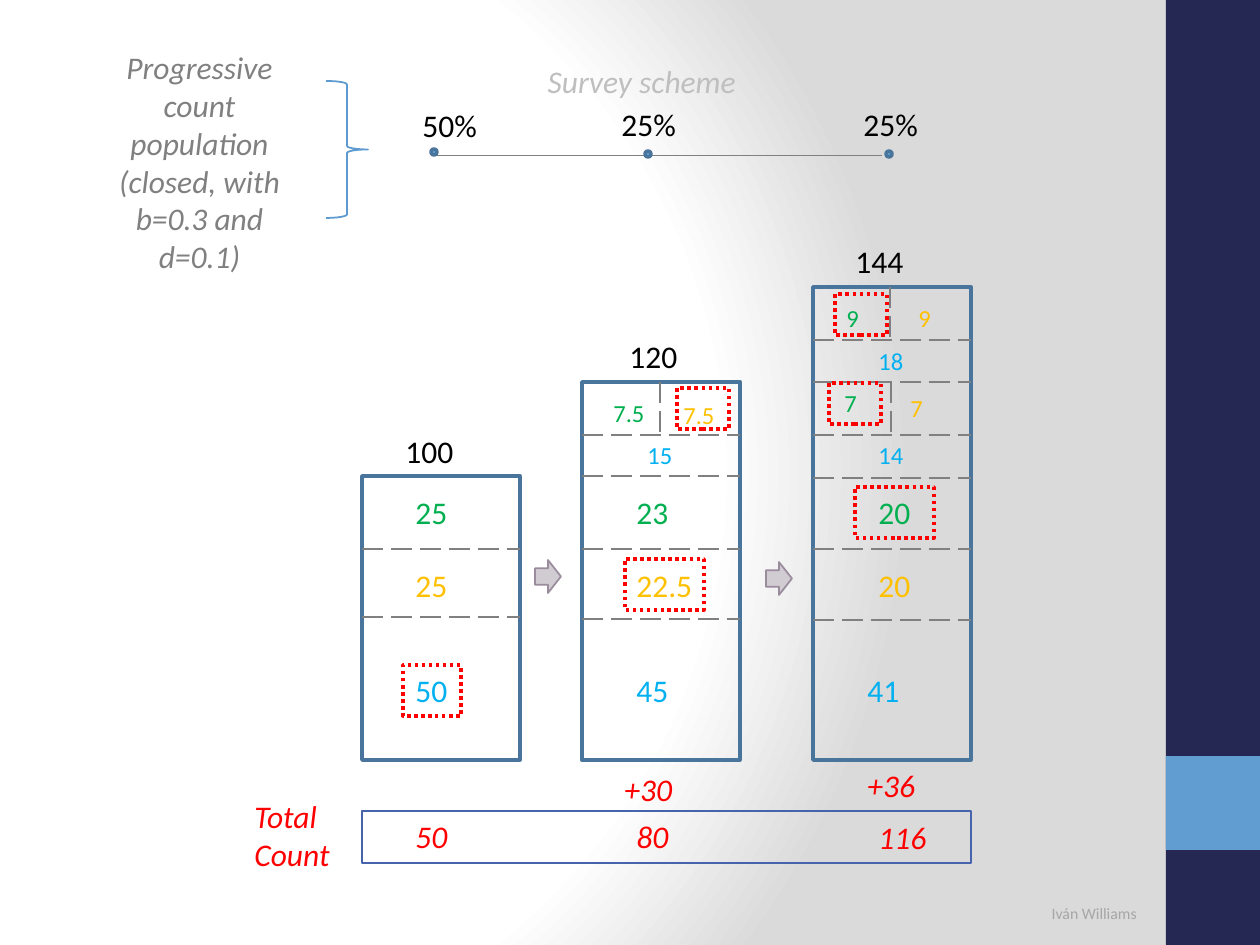
from pptx import Presentation, util as u
from pptx.dml.color import RGBColor
from pptx.enum import dml, shapes, text
from pptx.oxml import parse_xml
from pptx.oxml.ns import nsdecls, qn

EMU_PER_PIXEL = 914400 / 126
COLORS = {
    "navy": "242852", "sky": "629DD1", "frame": "49749B", "thin": "5D9ACF",
    "total": "4663AB", "gray": "808080", "pale": "BFBFBF", "author": "A6A6A6",
    "black": "000000", "red": "FF0000", "blue": "00B0F0", "yellow": "FFC000",
    "green": "00B050", "arrow": "D1CCD2", "arrow_line": "9A8C9D",
}
SHAPE, DASH = shapes.MSO_SHAPE, dml.MSO_LINE


def px(value):
    return u.Emu(round(value * EMU_PER_PIXEL))


def rgb(name):
    return RGBColor.from_string(COLORS[name])


def write(frame, words, size=18, color="black", italic=False, align=text.PP_ALIGN.LEFT):
    frame.word_wrap = True
    frame.vertical_anchor = text.MSO_ANCHOR.TOP
    paragraph = frame.paragraphs[0]
    paragraph.alignment = align
    run = paragraph.add_run()
    run.text = words
    run.font.name = "Calibri"
    run.font.size = u.Pt(size)
    run.font.italic = italic
    run.font.color.rgb = rgb(color)


class Canvas:
    def __init__(self, slide):
        self.slide = slide

    def background(self):
        self.slide.background.fill.solid()
        solid = next(self.slide.element.iter(qn("a:solidFill")))
        stops = "".join(
            f'<a:gs pos="{position}"><a:srgbClr val="{color}"/></a:gs>'
            for position, color in ((0, "FFFFFF"), (75000, "FFFFFF"), (100000, "DADADA")))
        solid.getparent().replace(solid, parse_xml(
            f'<a:gradFill {nsdecls("a")} rotWithShape="1"><a:gsLst>{stops}</a:gsLst>'
            '<a:path path="circle"><a:fillToRect l="20000" t="50000" r="100000" b="50000"/>'
            '</a:path></a:gradFill>'))

    def title(self, words, x, y, width, height, **style):
        title = self.slide.shapes.title
        title.left, title.top, title.width, title.height = map(px, (x, y, width, height))
        write(title.text_frame, words, **style)

    def label(self, words, x, y, width=94, height=50, **style):
        box = self.slide.shapes.add_textbox(*map(px, (x, y, width, height)))
        write(box.text_frame, words, **style)

    def stroke(self, line, color, weight, dash=None):
        line.color.rgb = rgb(color)
        line.width = u.Pt(weight)
        if dash:
            line.dash_style = dash

    def shape(self, kind, x, y, width, height, fill=None, line=None, weight=2, dash=None):
        shape = self.slide.shapes.add_shape(kind, *map(px, (x, y, width, height)))
        shape.shadow.inherit = False
        if fill:
            shape.fill.solid()
            shape.fill.fore_color.rgb = rgb(fill)
        else:
            shape.fill.background()
        if line:
            self.stroke(shape.line, line, weight, dash)
        else:
            shape.line.fill.background()

    def line(self, x1, y1, x2, y2, color="gray", weight=1.5, dash=DASH.LONG_DASH):
        line = self.slide.shapes.add_connector(
            shapes.MSO_CONNECTOR.STRAIGHT, *map(px, (x1, y1, x2, y2)))
        self.stroke(line.line, color, weight, dash)
        line.element.spPr.append(parse_xml(f'<a:effectLst {nsdecls("a")}/>'))


presentation = Presentation()
presentation.slide_width, presentation.slide_height = px(1260), px(945)
canvas = Canvas(presentation.slides.add_slide(presentation.slide_layouts[5]))

# Background and side band
canvas.background()
canvas.shape(SHAPE.RECTANGLE, 1166, 0, 94, 945, fill="navy")
canvas.shape(SHAPE.RECTANGLE, 1166, 756, 94, 94, fill="sky")

# Population bars: left, top, horizontal splits, vertical splits (x, top)
BAR_WIDTH, BAR_BOTTOM, HALF_HEIGHT = 158, 760, 53
BARS = [
    (362, 476, (549, 617), ()),
    (582, 382, (435, 476, 549, 619), ((660, 382),)),
    (813, 287, (340, 382, 435, 478, 549, 620), ((890, 287), (891, 382))),
]
for left, top, splits, halves in BARS:
    canvas.shape(SHAPE.RECTANGLE, left, top, BAR_WIDTH, BAR_BOTTOM - top, line="frame")
    for y in splits:
        canvas.line(left, y, left + BAR_WIDTH, y)
    for x, y in halves:
        canvas.line(x, y, x, y + HALF_HEIGHT)

# Bar totals
for words, x, y in (("100", 393, 426), ("120", 617, 331), ("144", 843, 236)):
    canvas.label(words, x, y)

# Group counts
LARGE = {
    "blue": (("50", 403, 665), ("45", 624, 665), ("41", 855, 665)),
    "yellow": (("25", 403, 560), ("22.5", 624, 560), ("20", 866, 560)),
    "green": (("25", 403, 487), ("23", 624, 487), ("20", 866, 487)),
}
SMALL = {
    "blue": (("15", 635, 434), ("14", 866, 434), ("18", 866, 340)),
    "yellow": (("7.5", 671, 394), ("7", 898, 387), ("9", 906, 297)),
    "green": (("7.5", 601, 392), ("7", 832, 382), ("9", 834, 297)),
}
for groups, style in ((LARGE, {}), (SMALL, {"width": 66, "height": 43, "size": 14})):
    for color, counts in groups.items():
        for words, x, y in counts:
            canvas.label(words, x, y, color=color, **style)

# Survey timeline
canvas.title("Survey scheme", 535, 56, 325, 50, color="pale", italic=True)
canvas.line(431, 155, 882, 155, weight=0.5, dash=None)
for words, x, y, dot_x, dot_y in (("50%", 410, 100, 431, 149),
                                  ("25%", 609, 99, 645, 151),
                                  ("25%", 851, 99, 886, 151)):
    canvas.label(words, x, y)
    canvas.shape(SHAPE.OVAL, dot_x, dot_y, 6, 6, fill="sky", line="frame")

# Scheme description
canvas.label("Progressive count population (closed, with b=0.3 and d=0.1)", 84, 42, 231, 242,
             color="gray", italic=True, align=text.PP_ALIGN.CENTER)
canvas.shape(SHAPE.RIGHT_BRACE, 326, 81, 42, 137, line="thin", weight=1)

# Arrows between bars
for x, y in ((535, 560), (766, 562)):
    canvas.shape(SHAPE.RIGHT_ARROW, x, y, 26, 33, fill="arrow", line="arrow_line", weight=1)

# Counted groups
for x, y, width, height in ((403, 665, 58, 51), (625, 559, 79, 51), (677, 388, 52, 41),
                            (855, 487, 79, 51), (829, 383, 52, 41), (835, 294, 52, 41)):
    canvas.shape(SHAPE.RECTANGLE, x, y, width, height, line="red", dash=DASH.ROUND_DOT)

# Total count row
canvas.shape(SHAPE.RECTANGLE, 362, 811, 609, 52, line="total", weight=1)
canvas.label("Total Count", 242, 791, 168, 89, color="red", italic=True)
for words, x, y in (("50", 403, 811), ("80", 624, 811), ("116", 866, 812),
                    ("+30", 612, 764), ("+36", 855, 760)):
    canvas.label(words, x, y, color="red", italic=True)

# Author
canvas.label("Iván Williams", 1000, 898, 149, 32, size=9, color="author",
             align=text.PP_ALIGN.RIGHT)

presentation.save("out.pptx")
